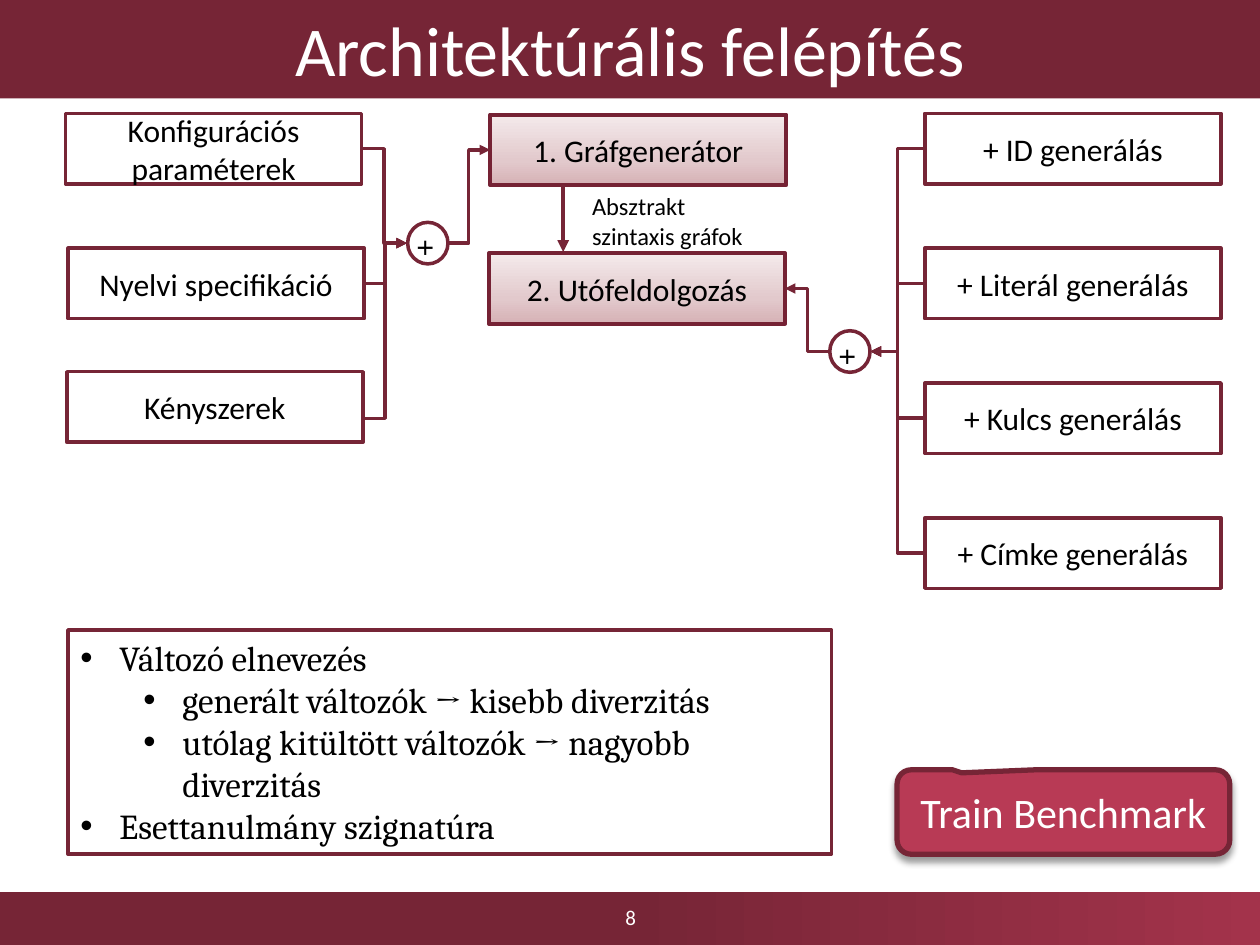
from dataclasses import dataclass

from lxml import etree
from pptx import Presentation
from pptx import util as u
from pptx.dml.color import RGBColor
from pptx.enum import shapes, text
from pptx.oxml.ns import qn

COLUMNS, ROWS = 100, 75
TITLE_ONLY = 5
MIDDLE, TOP = text.MSO_ANCHOR.MIDDLE, text.MSO_ANCHOR.TOP
CENTER, LEFT = text.PP_ALIGN.CENTER, text.PP_ALIGN.LEFT
KIND = shapes.MSO_SHAPE


@dataclass(frozen=True)
class Theme:
    wine: str = "762536"
    wine_edge: str = "752234"
    rose: str = "B83A55"
    white: str = "FFFFFF"
    black: str = "000000"
    footer_stops: tuple = ((0, "762536"), (50, "762536"), (100, "A3334B"))
    step_stops: tuple = ((0, "D6B1B5"), (35, "E2C9CC"), (100, "F4EAEB"))
    font: str = "Calibri"
    list_font: str = "Cambria"
    title: int = 40
    callout: int = 24
    listing: int = 20
    body: int = 18
    label: int = 14
    number: int = 12
    line: float = 2


def add_xml(parent, tag, **attributes):
    return etree.SubElement(parent, qn(tag), **attributes)


class Board:
    """Draws on one slide; lengths are columns and rows of the grid."""

    def __init__(self, deck, theme):
        self.theme = theme
        self.slide = deck.slides.add_slide(deck.slide_layouts[TITLE_ONLY])
        self.column = deck.slide_width / COLUMNS
        self.row = deck.slide_height / ROWS

    def place(self, *lengths):
        units = (self.column, self.row) * 2
        return [u.Emu(round(length * unit)) for length, unit in zip(lengths, units)]

    def label(self, shape, words, size=None, color=None, font=None,
              align=CENTER, anchor=MIDDLE):
        frame = shape.text_frame
        frame.text = words
        frame.word_wrap = True
        frame.vertical_anchor = anchor
        for paragraph in frame.paragraphs:
            paragraph.alignment = align
            for run in paragraph.runs:
                run.font.size = u.Pt(size or self.theme.body)
                run.font.name = font or self.theme.font
                run.font.color.rgb = RGBColor.from_string(color or self.theme.black)

    def paint(self, shape, fill):
        shape.fill.solid()
        shape.fill.fore_color.rgb = RGBColor.from_string(fill)

    def shade(self, shape, stops, angle):
        """Fill with a gradient; the angle runs counter-clockwise."""
        shape.fill.gradient()
        shape.fill.gradient_angle = angle
        stop_list = next(shape._element.spPr.iter(qn("a:gsLst")))
        for old in list(stop_list):
            stop_list.remove(old)
        for position, color in stops:
            stop = add_xml(stop_list, "a:gs", pos=str(position * 1000))
            add_xml(stop, "a:srgbClr", val=color)

    def box(self, area, words="", kind=KIND.FLOWCHART_PROCESS, fill=None,
            edge=None, width=None, **style):
        shape = self.slide.shapes.add_shape(kind, *self.place(*area))
        shape.shadow.inherit = False
        self.paint(shape, fill or self.theme.white)
        shape.line.color.rgb = RGBColor.from_string(edge or self.theme.wine)
        shape.line.width = u.Pt(width or self.theme.line)
        self.label(shape, words, **style)
        return shape

    def title(self, area, words):
        heading = self.slide.shapes.title
        heading.left, heading.top, heading.width, heading.height = self.place(*area)
        self.paint(heading, self.theme.wine)
        self.label(heading, words, self.theme.title, self.theme.white)

    def footer(self, area, number_area, number):
        band = self.box(area, kind=KIND.RECTANGLE)
        self.shade(band, self.theme.footer_stops, 0)
        band.line.fill.background()
        page = self.slide.shapes.add_textbox(*self.place(*number_area))
        self.label(page, number, self.theme.number, self.theme.white)

    def step(self, area, words):
        shape = self.box(area, words, edge=self.theme.wine_edge, width=2.25)
        self.shade(shape, self.theme.step_stops, 90)

    def junction(self, left, top):
        self.box((left, top, 3.3, 3.2), "+", KIND.OVAL).rotation = 90

    def arrow(self, start, end, kind=shapes.MSO_CONNECTOR.ELBOW, width=None):
        link = self.slide.shapes.add_connector(kind, *self.place(*start, *end))
        link.line.color.rgb = RGBColor.from_string(self.theme.wine)
        link.line.width = u.Pt(width or self.theme.line)
        properties = link._element.spPr
        add_xml(properties.find(qn("a:ln")), "a:tailEnd", type="triangle")
        add_xml(properties, "a:effectLst")

    def bullets(self, area, items):
        """Each item is a pair of level and wording."""
        panel = self.box(area, "\n".join(words for _, words in items),
                         KIND.RECTANGLE, size=self.theme.listing,
                         font=self.theme.list_font, align=LEFT, anchor=TOP)
        for paragraph, (level, _) in zip(panel.text_frame.paragraphs, items):
            paragraph.level = level
            properties = paragraph._p.get_or_add_pPr()
            properties.set("marL", str(u.Inches(0.31 + 0.5 * level)))
            properties.set("indent", str(u.Inches(-0.31)))
            add_xml(properties, "a:buFont", typeface="Arial")
            add_xml(properties, "a:buChar", char="•")

    def callout(self, area, words):
        shape = self.box(area, words, KIND.ROUNDED_RECTANGULAR_CALLOUT,
                         fill=self.theme.rose, width=3,
                         size=self.theme.callout, color=self.theme.white)
        for index, value in enumerate((-0.306, -0.464, 0.167)):
            shape.adjustments[index] = value
        effects = shape._element.spPr.find(qn("a:effectLst"))
        shadow = add_xml(effects, "a:outerShdw", blurRad=str(u.Pt(4)),
                         dist=str(u.Pt(3)), dir="5400000", rotWithShape="0")
        tint = add_xml(shadow, "a:srgbClr", val=self.theme.black)
        add_xml(tint, "a:alpha", val="40000")


def main():
    deck = Presentation()
    deck.slide_width, deck.slide_height = u.Inches(10), u.Inches(7.5)
    theme = Theme()
    board = Board(deck, theme)
    width, height = 23.5, 5.6

    board.footer((0, 70.8, 100, 4.2), (38.8, 70.8, 22.5, 4), "8")
    board.title((0, -0.1, 100, 7.9), "Architektúrális felépítés")

    input_join, generator_join = (32.3, 19.3), (69.1, 27.9)
    inputs = (
        (5.2, 9, 11.8, "Konfigurációs paraméterek"),
        (5.4, 19.7, 22.5, "Nyelvi specifikáció"),
        (5.3, 29.5, 33.2, "Kényszerek"),
    )
    for left, top, exit_row, words in inputs:
        board.box((left, top, width, height), words)
        board.arrow((left + width, exit_row), input_join)

    generators = ("ID", "Literál", "Kulcs", "Címke")
    for index, name in enumerate(generators):
        top = 9 + 10.7 * index
        board.box((73.4, top, width, height), f"+ {name} generálás")
        board.arrow((73.4, top + height / 2), generator_join)

    board.junction(32.3, 17.7)
    board.junction(65.8, 26.3)
    board.box((46, 14.7, 15.2, 5.7), "Absztrakt szintaxis gráfok", KIND.RECTANGLE,
              edge=theme.white, width=0.75, size=theme.label,
              align=LEFT, anchor=TOP)
    board.step((38.8, 20.1, width, height), "2. Utófeldolgozás")
    board.step((38.9, 9.1, width, height), "1. Gráfgenerátor")
    board.arrow((35.5, 19.3), (38.9, 11.9))
    board.arrow((65.9, 27.9), (62.3, 22.9))
    board.arrow((44.7, 14.7), (44.7, 20), shapes.MSO_CONNECTOR.STRAIGHT, 2.25)

    board.bullets((5.4, 50, 60.6, 17.8), (
        (0, "Változó elnevezés"),
        (1, "generált változók → kisebb diverzitás"),
        (1, "utólag kitültött változók → nagyobb diverzitás"),
        (0, "Esettanulmány szignatúra"),
    ))
    board.callout((71.2, 61.1, 26.4, 6.7), "Train Benchmark")
    deck.save("out.pptx")


if __name__ == "__main__":
    main()
